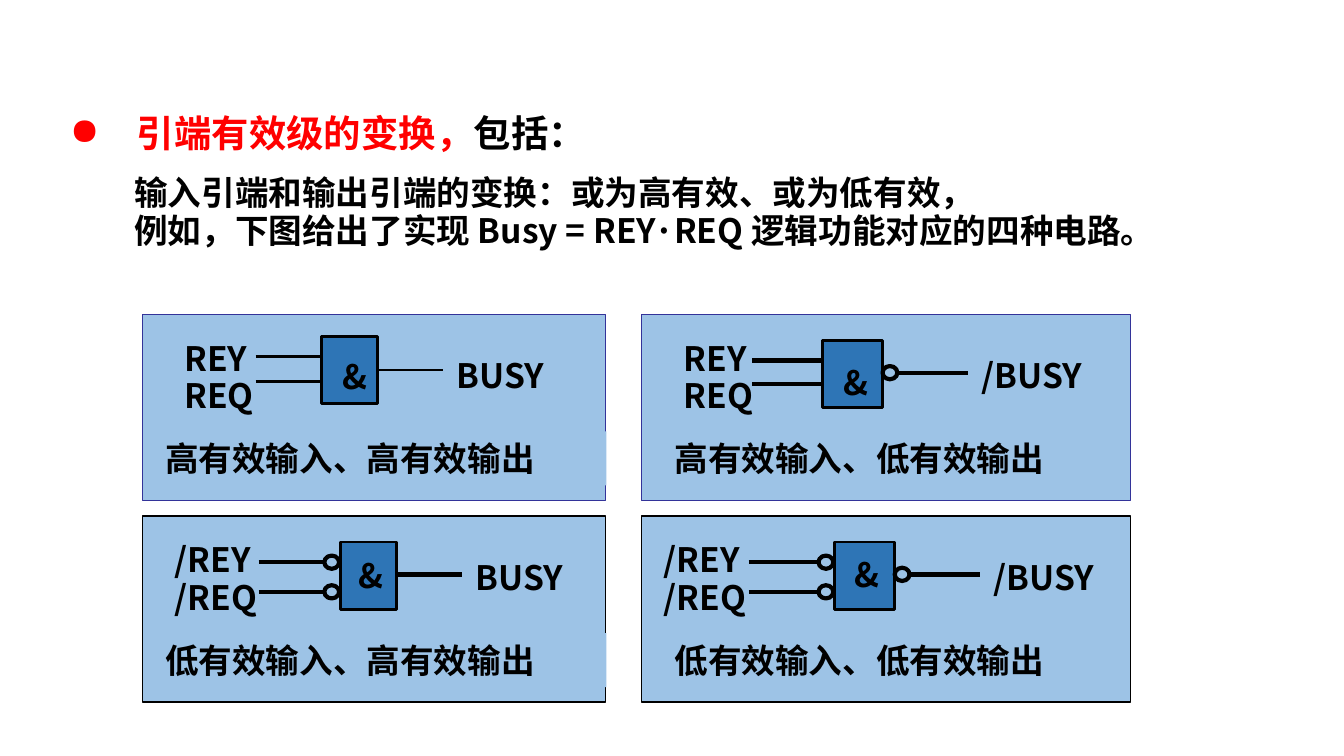
from dataclasses import dataclass
from lxml import etree
from pptx import Presentation
from pptx import util as u
from pptx.dml.color import RGBColor
from pptx.enum import shapes, text
from pptx.oxml import ns

BLACK = RGBColor(0x00, 0x00, 0x00)
RED = RGBColor(0xFF, 0x00, 0x00)
INDIGO = RGBColor(0x33, 0x33, 0x99)
PALE_BLUE = RGBColor(0x9D, 0xC3, 0xE6)
GATE_BLUE = RGBColor(0x2E, 0x75, 0xB6)

FONT = "Noto Sans CJK JP"
LABEL_HEIGHT = 1.02
GATE_HEIGHT = 1.27
BUBBLE_WIDTH, BUBBLE_HEIGHT = 0.28, 0.25
BUBBLE_GAP = 0.3


@dataclass
class Column:
    left: float
    width: float
    gate_width: float
    wire: float
    label_width: float
    caption_left: float
    caption_width: float


@dataclass
class Circuit:
    column: Column
    top: float
    border: RGBColor
    gate: tuple
    symbol: tuple
    input_left: float
    input_rows: tuple
    output_row: float
    inputs: tuple
    output: str
    caption: str
    weight: float = 2.25


class Drawing:
    def __init__(self, slide):
        self.slide = slide
        self.font = {"name": FONT, "bold": True}

    def add_words(self, para, words, color=BLACK, size=18):
        span = para.add_run()
        span.text = words
        span.font.color.rgb = color
        for name, value in {**self.font, "size": u.Pt(size)}.items():
            setattr(span.font, name, value)
        properties = span._r.get_or_add_rPr()
        etree.SubElement(properties, ns.qn("a:ea"), typeface=FONT)

    def textbox(self, left, top, width, height):
        box = self.slide.shapes.add_textbox(
            u.Cm(left), u.Cm(top), u.Cm(width), u.Cm(height))
        box.text_frame.word_wrap = True
        return box

    def label(self, words, left, top, width, fill=None):
        box = self.textbox(left, top, width, LABEL_HEIGHT)
        box.text_frame.auto_size = text.MSO_AUTO_SIZE.SHAPE_TO_FIT_TEXT
        if fill is not None:
            box.fill.solid()
            box.fill.fore_color.rgb = fill
        self.add_words(box.text_frame.paragraphs[0], words)

    def shape(self, kind, left, top, width, height, fill, line, weight):
        shape = self.slide.shapes.add_shape(
            kind, u.Cm(left), u.Cm(top), u.Cm(width), u.Cm(height))
        shape.shadow.inherit = False
        shape.fill.solid()
        shape.fill.fore_color.rgb = fill
        shape.line.color.rgb = line
        shape.line.width = u.Pt(weight)

    def rectangle(self, left, top, width, height, fill, line, weight):
        self.shape(shapes.MSO_SHAPE.RECTANGLE, left, top, width, height,
                   fill, line, weight)

    def bubble(self, left, middle):
        self.shape(shapes.MSO_SHAPE.OVAL, left, middle - BUBBLE_HEIGHT / 2,
                   BUBBLE_WIDTH, BUBBLE_HEIGHT, PALE_BLUE, BLACK, 2.25)

    def wire(self, start, end, y, weight):
        wire = self.slide.shapes.add_connector(
            shapes.MSO_CONNECTOR.STRAIGHT,
            u.Cm(start), u.Cm(y), u.Cm(end), u.Cm(y))
        wire.line.color.rgb = BLACK
        wire.line.width = u.Pt(weight)
        etree.SubElement(wire._element.spPr, ns.qn("a:effectLst"))

    def heading(self):
        box = self.textbox(1.07, 2.06, 14.43, 1.63)
        para = box.text_frame.paragraphs[0]
        para.line_spacing = 0.9
        properties = para._p.get_or_add_pPr()
        properties.set("marL", str(u.Cm(1.27)))
        properties.set("indent", str(u.Cm(-1.27)))
        etree.SubElement(properties, ns.qn("a:buChar"), char="●")
        self.add_words(para, "引端有效级的变换，", RED, 20)
        self.add_words(para, "包括：", BLACK, 20)

    def body(self, lines):
        frame = self.textbox(2.29, 3.4, 21.92, 2.26).text_frame
        for index, line in enumerate(lines):
            para = frame.add_paragraph() if index else frame.paragraphs[0]
            para.line_spacing = 0.6
            para.space_before = u.Pt(7 if index else 0)
            self.add_words(para, line)

    def circuit(self, item):
        column, top = item.column, item.top
        gate_left, gate_top = item.gate[0], top + item.gate[1]
        gate_right = gate_left + column.gate_width
        self.rectangle(column.left, top, column.width, 3.51,
                       PALE_BLUE, item.border, 0.75)
        self.rectangle(gate_left, gate_top, column.gate_width, GATE_HEIGHT,
                       GATE_BLUE, BLACK, 1.5)
        self.label("&", gate_left + item.symbol[0],
                   gate_top + item.symbol[1], 1.2)

        low_input = item.inputs[0].startswith("/")
        input_end = gate_left - (BUBBLE_GAP if low_input else 0)
        for index, words in enumerate(item.inputs):
            y = top + item.input_rows[index]
            self.wire(input_end - column.wire, input_end, y, item.weight)
            if low_input:
                self.bubble(input_end, y)
            self.label(words, item.input_left, top + 0.31 + index * 0.71,
                       column.label_width)

        low_output = item.output.startswith("/")
        output_start = gate_right + (BUBBLE_GAP if low_output else 0)
        output_end = output_start + column.wire
        y = top + item.output_row
        self.wire(output_start, output_end, y, item.weight)
        if low_output:
            self.bubble(gate_right, y)
        self.label(item.output, output_end, top + 0.64,
                   column.label_width, PALE_BLUE)
        self.label(item.caption, column.caption_left, top + 2.21,
                   column.caption_width, PALE_BLUE)


def main():
    deck = Presentation()
    deck.slide_width, deck.slide_height = u.Cm(25.4), u.Cm(14.28)
    page = Drawing(deck.slides.add_slide(deck.slide_layouts[6]))
    page.heading()
    page.body((
        "输入引端和输出引端的变换：或为高有效、或为低有效，",
        "例如，下图给出了实现 Busy = REY·REQ 逻辑功能对应的四种电路。",
    ))

    left = Column(2.69, 8.76, 1.07, 1.24, 2.31, 2.87, 8.59)
    right = Column(12.12, 9.25, 1.14, 1.32, 2.44, 12.5, 8.2)
    upper, lower = 5.94, 9.75
    high, low = ("REY", "REQ"), ("/REY", "/REQ")
    circuits = (
        Circuit(left, upper, INDIGO, (6.07, 0.41), (0.15, 0.25), 3.23,
                (0.79, 1.27), 1.05, high, "BUSY",
                "高有效输入、高有效输出", 1.5),
        Circuit(left, lower, BLACK, (6.43, 0.49), (0.1, 0.12), 3.05,
                (0.87, 1.43), 1.1, low, "BUSY",
                "低有效输入、高有效输出"),
        Circuit(right, upper, INDIGO, (15.54, 0.49), (0.16, 0.28), 12.67,
                (0.87, 1.32), 1.1, high, "/BUSY",
                "高有效输入、低有效输出"),
        Circuit(right, lower, BLACK, (15.77, 0.49), (0.13, 0.1), 12.29,
                (0.87, 1.43), 1.1, low, "/BUSY",
                "低有效输入、低有效输出"),
    )
    for item in circuits:
        page.circuit(item)
    deck.save("out.pptx")


if __name__ == "__main__":
    main()
